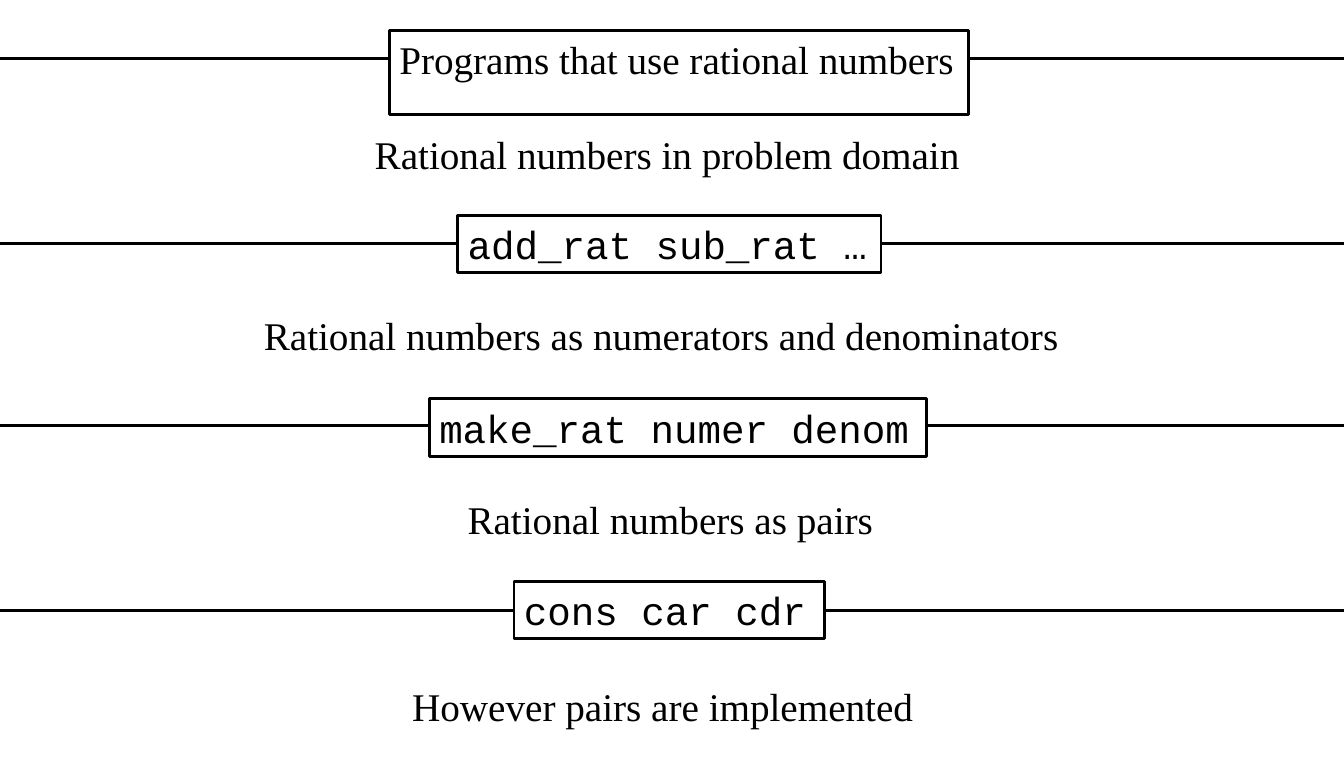
from dataclasses import dataclass

from lxml import etree
from pptx import Presentation
from pptx.dml.color import RGBColor
from pptx.enum import shapes, text
from pptx.oxml import ns
from pptx.util import Pt


@dataclass(frozen=True)
class Theme:
    ink: RGBColor = RGBColor(0, 0, 0)
    paper: RGBColor = RGBColor(255, 255, 255)
    prose: str = "Times New Roman"
    code: str = "Courier New"
    size: int = 28
    stroke: int = 2


THEME = Theme()
SLIDE_W, SLIDE_H = 960, 543
ROW_H = 41
LINE_START = -1.5

# Abstraction barriers, top down: wording, font, left, top, width, line height
BARRIERS = [
    ("Programs that use rational numbers", THEME.prose, 278, 21.6, 414, 41.8),
    ("add_rat sub_rat …", THEME.code, 327, 154, 302.4, 174.2),
    ("make_rat numer denom", THEME.code, 306.7, 285, 355, 303.8),
    ("cons car cdr", THEME.code, 367.2, 415.4, 221.8, 436.3),
]

# What lies under each barrier: wording, left, top, width
LAYERS = [
    ("Rational numbers in problem domain", 260.6, 89.3, 436.3),
    ("Rational numbers as numerators and denominators", 181.4, 218.9, 587.5),
    ("Rational numbers as pairs", 326.9, 350.6, 306.7),
    ("However pairs are implemented", 287.3, 483.8, 375.8),
]


def apply(target, formats):
    for key, value in formats.items():
        setattr(target, key, value)


def write(holder, wording, font, wrap):
    frame = holder.text_frame
    frame.text = wording
    apply(frame, {
        "word_wrap": wrap,
        "auto_size": text.MSO_AUTO_SIZE.SHAPE_TO_FIT_TEXT,
        "vertical_anchor": text.MSO_ANCHOR.TOP,
        "margin_left": Pt(7.2), "margin_right": Pt(7.2),
        "margin_top": Pt(3.6), "margin_bottom": Pt(3.6),
    })
    paragraph = frame.paragraphs[0]
    apply(paragraph, {"alignment": text.PP_ALIGN.LEFT, "line_spacing": 1.0,
                      "space_before": Pt(0)})
    run_font = paragraph.runs[0].font
    apply(run_font, {"name": font, "size": Pt(THEME.size)})
    run_font.color.rgb = THEME.ink


def draw_outline(part):
    part.line.color.rgb = THEME.ink
    part.line.width = Pt(THEME.stroke)


def draw_line(slide, height):
    line = slide.shapes.add_connector(
        shapes.MSO_CONNECTOR.STRAIGHT,
        Pt(LINE_START), Pt(height), Pt(SLIDE_W), Pt(height))
    draw_outline(line)
    etree.SubElement(line._element.spPr, ns.qn("a:effectLst"))


def place_box(box, wording, font, left, top, width):
    apply(box, {"left": Pt(left), "top": Pt(top),
                "width": Pt(width), "height": Pt(ROW_H)})
    box.fill.solid()
    box.fill.fore_color.rgb = THEME.paper
    draw_outline(box)
    write(box, wording, font, wrap=True)


deck = Presentation()
apply(deck, {"slide_width": Pt(SLIDE_W), "slide_height": Pt(SLIDE_H)})
slide = deck.slides.add_slide(deck.slide_layouts[5])
title = slide.shapes.title

# Barriers: a line across the slide, with its box on top
for index, (wording, font, left, top, width, line_height) in enumerate(BARRIERS):
    draw_line(slide, line_height)
    if index == 0:
        box = title
        slide.shapes._spTree.append(title._element)  # bring in front of its line
    else:
        box = slide.shapes.add_shape(shapes.MSO_SHAPE.RECTANGLE, 0, 0, 0, 0)
        box.shadow.inherit = False
    place_box(box, wording, font, left, top, width)

# Layers between the barriers
for wording, left, top, width in LAYERS:
    layer = slide.shapes.add_textbox(Pt(left), Pt(top), Pt(width), Pt(ROW_H))
    write(layer, wording, THEME.prose, wrap=False)

deck.save("out.pptx")
